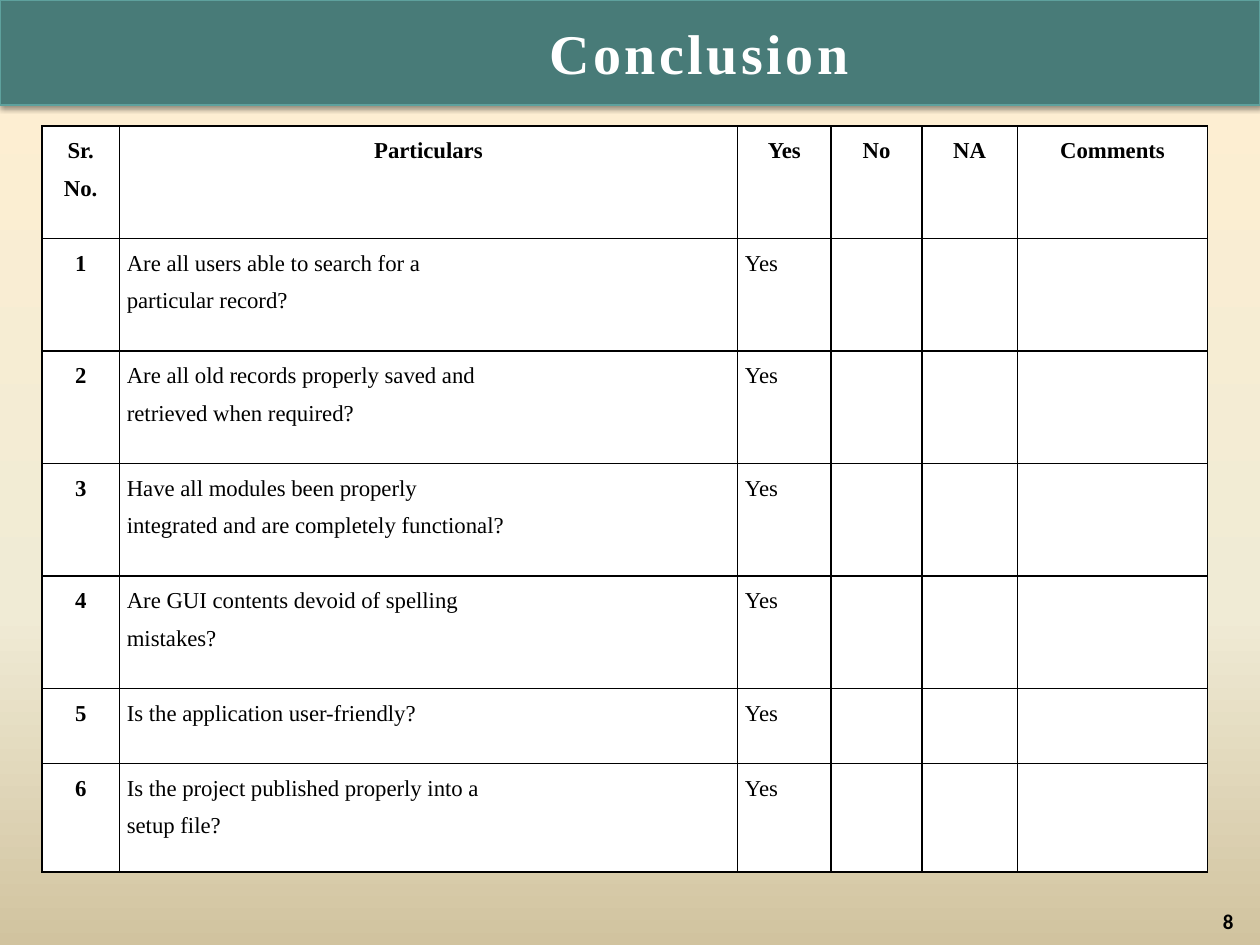
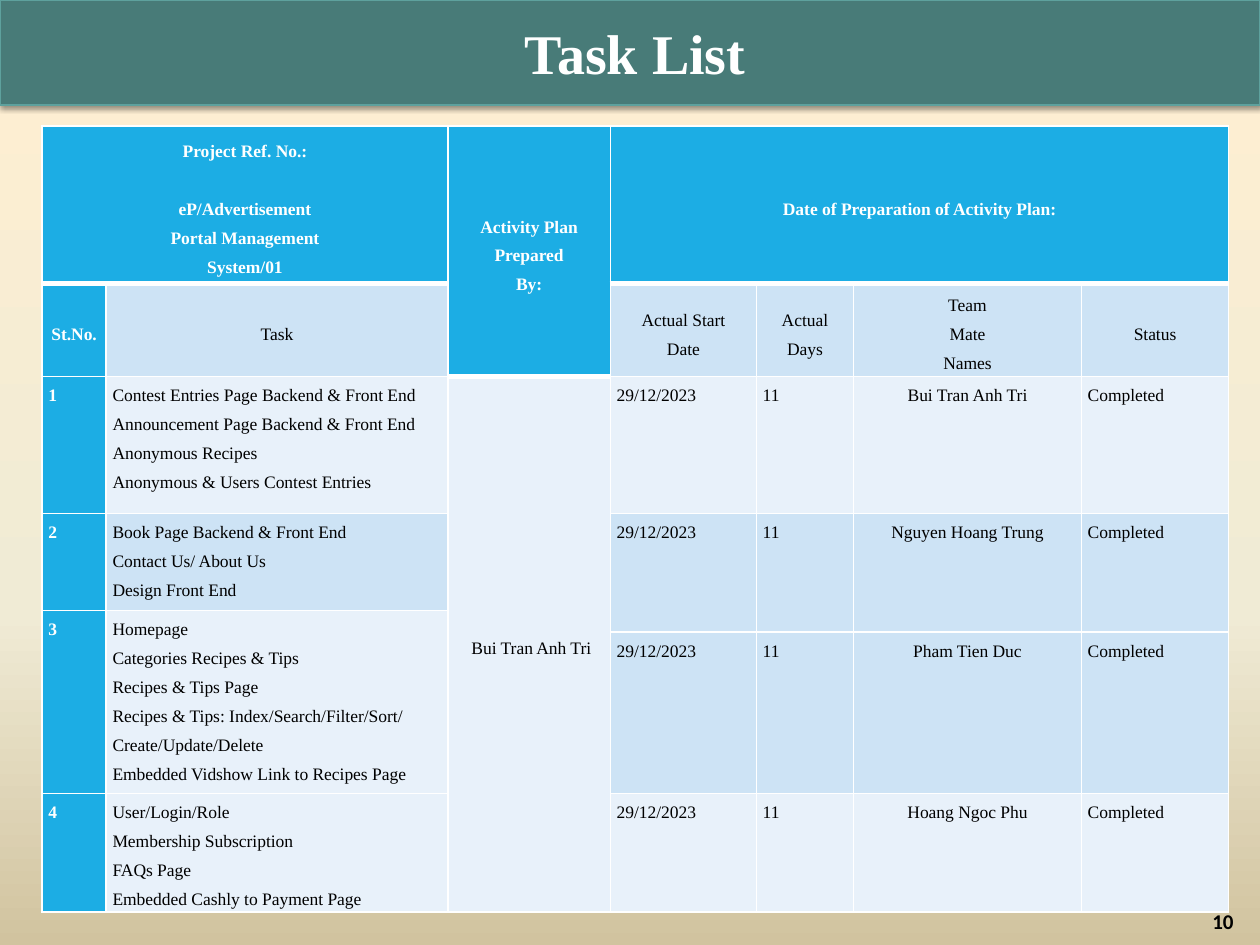
import dataclasses

import lxml.etree
import pptx
import pptx.dml.color
import pptx.enum.shapes
import pptx.enum.text
import pptx.oxml.ns
import pptx.util

Pt = pptx.util.Pt
RGB = pptx.dml.color.RGBColor.from_string
qn = pptx.oxml.ns.qn
ALIGN = pptx.enum.text.PP_ALIGN
ANCHOR = pptx.enum.text.MSO_ANCHOR


@dataclasses.dataclass(frozen=True)
class Theme:
    band: str = "487B78"
    band_line: str = "5EA19D"
    accent: str = "1CADE4"
    mid: str = "CDE3F5"
    light: str = "E8F1FA"
    white: str = "FFFFFF"
    black: str = "000000"
    backdrop: tuple = ((0, "FFEFD1"), (65, "F0EBD5"), (100, "D1C39F"))
    serif: str = "Times New Roman"
    sans: str = "Calibri"
    title_size: int = 32
    number_size: int = 12
    checklist_size: int = 13
    plan_size: int = 10
    leading: float = 1.65


@dataclasses.dataclass
class CellStyle:
    size: int
    color: str
    fill: str
    border: str
    bold: bool = False
    align: object = ALIGN.LEFT
    anchor: object = ANCHOR.TOP
    inset: float = 4.3
    bottom_width: float = 1


def add_xml(parent, tag, **attrs):
    el = lxml.etree.SubElement(parent, qn(tag))
    for name, value in attrs.items():
        el.set(name, str(value))
    return el


def add_color(parent, color):
    return add_xml(parent, "a:srgbClr", val=color)


class Deck:
    def __init__(self, theme):
        self.theme = theme
        self.prs = pptx.Presentation()
        self.prs.slide_width, self.prs.slide_height = Pt(720), Pt(540)

    def start_slide(self, title, title_left=24, spacing=0):
        self.s = self.prs.slides.add_slide(self.prs.slide_layouts[6])
        self.backdrop()
        self.band()
        t = self.theme
        p = self.text(title, (title_left, 6, 678, 48), t.serif, t.title_size,
                      t.white, ALIGN.CENTER)
        if spacing:
            p.runs[0].font._element.set("spc", str(spacing * 100))

    def page_number(self, number):
        t = self.theme
        self.text(str(number), (8.6, 520, 703.4, 13), t.sans, t.number_size,
                  t.black, ALIGN.RIGHT)

    def backdrop(self):
        fill = self.s.background.fill
        fill.gradient()
        fill.gradient_angle = 270
        stops = self.s._element.find(".//" + qn("a:gsLst"))
        for old in list(stops):
            stops.remove(old)
        for pos, color in self.theme.backdrop:
            add_color(add_xml(stops, "a:gs", pos=pos * 1000), color)

    def band(self):
        sp = self.s.shapes.add_shape(pptx.enum.shapes.MSO_SHAPE.RECTANGLE,
                                     0, 0, Pt(720), Pt(60))
        sp.fill.solid()
        sp.fill.fore_color.rgb = RGB(self.theme.band)
        sp.line.color.rgb = RGB(self.theme.band_line)
        sp.line.width = Pt(0.75)
        sp.shadow.inherit = False
        effects = sp._element.spPr.find(qn("a:effectLst"))
        shadow = add_xml(effects, "a:outerShdw", blurRad=Pt(3.1), dist=Pt(1.6),
                         dir=5400000, algn="t", rotWithShape=0)
        add_xml(add_color(shadow, self.theme.black), "a:alpha", val=38000)

    def font(self, p, name, size, color, bold):
        p.font.name, p.font.size, p.font.bold = name, Pt(size), bold
        p.font.color.rgb = RGB(color)

    def text(self, text, box, font, size, color, align):
        tf = self.s.shapes.add_textbox(*map(Pt, box)).text_frame
        tf.word_wrap = True
        tf.margin_top = tf.margin_bottom = 0
        tf.vertical_anchor = ANCHOR.MIDDLE
        p = tf.paragraphs[0]
        p.text, p.alignment = text, align
        self.font(p, font, size, color, True)
        return p

    def table(self, left, top, widths, heights, rows, merges, style):
        shape = self.s.shapes.add_table(len(heights), len(widths), Pt(left), Pt(top),
                                        Pt(sum(widths)), Pt(sum(heights)))
        table = shape.table
        table.first_row = table.horz_banding = False
        for col, width in zip(table.columns, widths):
            col.width = Pt(width)
        for row, height in zip(table.rows, heights):
            row.height = Pt(height)
        for first, last in merges:
            table.cell(*first).merge(table.cell(*last))
        for r, row in enumerate(rows):
            for c, content in enumerate(row):
                self.cell(table.cell(r, c), content, style(r, c))
        return table

    def cell(self, cell, content, st):
        cell.margin_left = cell.margin_right = Pt(st.inset)
        cell.margin_top = cell.margin_bottom = 0
        cell.vertical_anchor = st.anchor
        tcPr = cell._tc.get_or_add_tcPr()
        for side, width in (("L", 1), ("R", 1), ("T", 1), ("B", st.bottom_width)):
            ln = add_xml(tcPr, "a:ln" + side, w=Pt(width))
            add_color(add_xml(ln, "a:solidFill"), st.border)
        cell.fill.solid()
        cell.fill.fore_color.rgb = RGB(st.fill)
        tf = cell.text_frame
        if not content:
            tf.paragraphs[0]._p.get_or_add_endParaRPr().set("sz", "100")
            return
        paragraphs = [content] if isinstance(content, str) else content
        for i, text in enumerate(paragraphs):
            p = tf.add_paragraph() if i else tf.paragraphs[0]
            p.text, p.alignment = text, st.align
            p.line_spacing = Pt(st.size * self.theme.leading)
            p.space_before = p.space_after = Pt(0)
            self.font(p, self.theme.serif, st.size, st.color, st.bold)


def conclusion(deck):
    t = deck.theme
    deck.start_slide("Conclusion", title_left=60.5, spacing=2)
    questions = (
        "Are all users able to search for a\nparticular record?",
        "Are all old records properly saved and\nretrieved when required?",
        "Have all modules been properly\nintegrated and are completely functional?",
        "Are GUI contents devoid of spelling\nmistakes?",
        "Is the application user-friendly?",
        "Is the project published properly into a\nsetup file?",
    )
    rows = [("Sr.\nNo.", "Particulars", "Yes", "No", "NA", "Comments")]
    rows += [(str(n), question, "Yes", "", "", "")
             for n, question in enumerate(questions, 1)]

    def style(r, c):
        heading = r == 0 or c == 0
        body_align = ALIGN.JUSTIFY if c == 2 else ALIGN.LEFT
        return CellStyle(t.checklist_size, t.black, t.white, t.black, heading,
                         ALIGN.CENTER if heading else body_align)

    deck.table(24, 72, (44.2, 353.2, 53.6, 51.8, 54.6, 108.6),
               [64.3] * 5 + [42.9, 62], rows, (), style)
    deck.page_number(8)


def task_list(deck):
    t = deck.theme
    deck.start_slide("Task List")

    def report(member):
        return "29/12/2023", "11", member, "Completed"

    rows = [
        (("Project Ref. No.:", "eP/Advertisement\nPortal Management\nSystem/01"), "",
         "Activity Plan\nPrepared\nBy:", "Date of Preparation of Activity Plan:",
         "", "", ""),
        ("St.No.", "Task", "", "Actual Start\nDate", "Actual\nDays",
         "Team\nMate\nNames", "Status"),
        ("1", ("Contest Entries Page Backend & Front End",
               "Announcement Page Backend & Front End",
               "Anonymous Recipes", "Anonymous & Users Contest Entries"),
         " Bui Tran Anh Tri", *report("Bui Tran Anh Tri")),
        ("2", ("Book Page Backend & Front End", "Contact Us/ About Us",
               "Design Front End"), "", *report("Nguyen Hoang Trung")),
        ("3", ("Homepage", "Categories Recipes & Tips", "Recipes & Tips Page",
               "Recipes & Tips: Index/Search/Filter/Sort/", "Create/Update/Delete",
               "Embedded Vidshow Link to Recipes Page"), "", "", "", "", ""),
        ("", "", "", *report("Pham Tien Duc")),
        ("4", ("User/Login/Role", "Membership Subscription", "FAQs Page",
               "Embedded Cashly to Payment Page"), "", *report("Hoang Ngoc Phu")),
    ]
    merges = [((0, 0), (0, 1)), ((0, 2), (1, 2)), ((0, 3), (0, 6)),
              ((2, 2), (6, 2)), ((4, 0), (5, 0)), ((4, 1), (5, 1))]
    merges += [((3, c), (4, c)) for c in range(3, 7)]

    def style(r, c):
        heading = r == 0 or (r, c) == (1, 2)
        accent = heading or c == 0
        if r < 2 or c in (2, 5):
            align = ALIGN.CENTER
        else:
            align = ALIGN.LEFT if c == 1 else ALIGN.JUSTIFY
        return CellStyle(
            t.plan_size, t.white if accent else t.black,
            t.accent if accent else (t.light, t.mid)[r % 2], t.white, accent, align,
            ANCHOR.MIDDLE if r < 2 or c == 2 else ANCHOR.TOP, 3.6,
            3 if heading else 1)

    table = deck.table(24, 72, (36.7, 195.2, 92.9, 83.5, 55.5, 130.2, 84.2),
                       (90, 53.2, 78.4, 55.4, 12.3, 92.2, 67.7), rows, merges, style)
    table.cell(0, 0).text_frame.paragraphs[1].space_before = Pt(t.plan_size * t.leading)
    deck.page_number(10)


def main():
    deck = Deck(Theme())
    conclusion(deck)
    task_list(deck)
    deck.prs.save("out.pptx")


if __name__ == "__main__":
    main()
